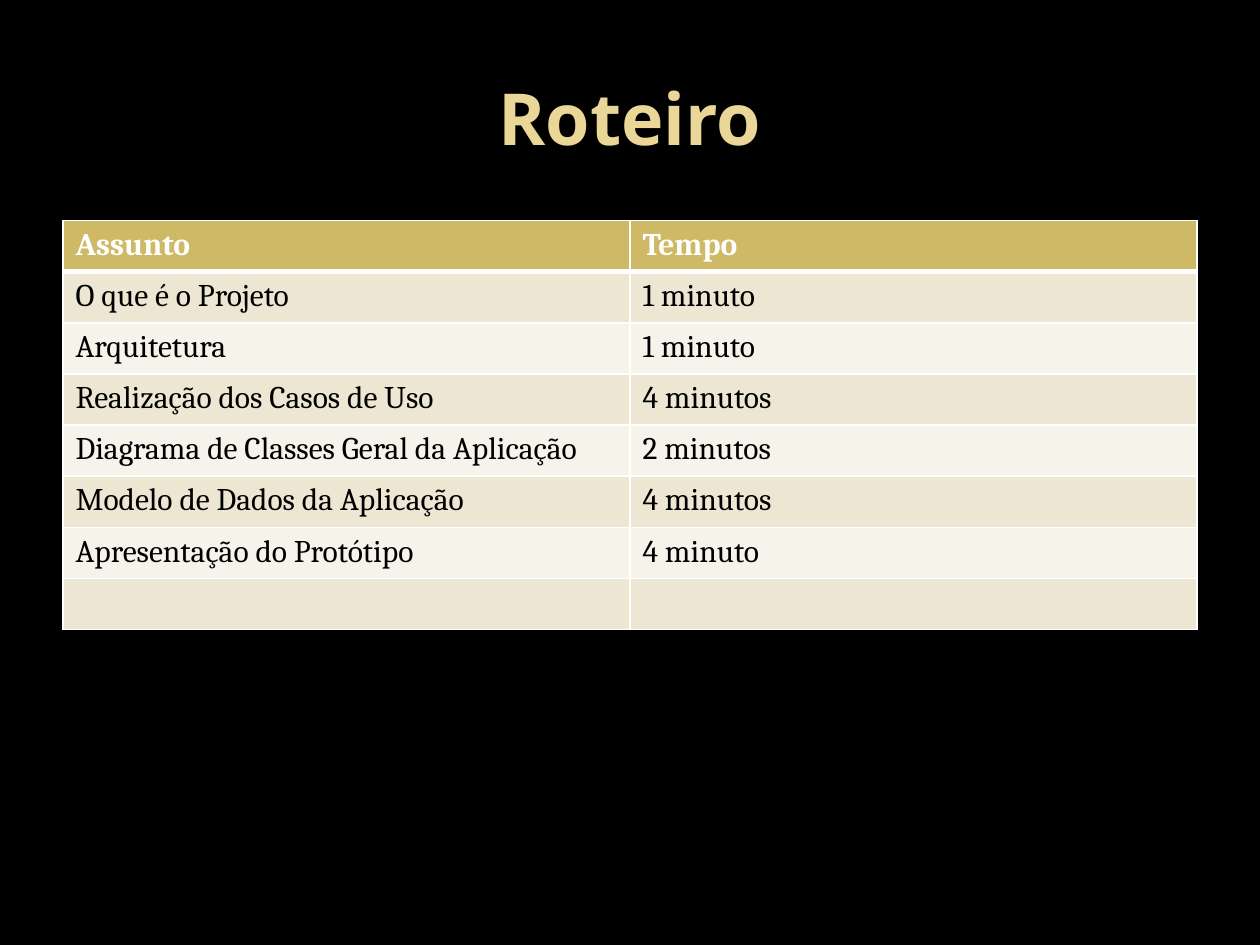
import lxml.etree
import pptx
import pptx.dml.color
import pptx.enum.text
import pptx.oxml.ns
import pptx.util
from pptx.util import Inches

COLORS = {
    "background": "000000",
    "title": "EAD696",
    "header": "CEB966",
    "odd_row": "EDE6D3",
    "even_row": "F6F3EA",
    "white": "FFFFFF",
    "black": "000000",
}

AGENDA = [
    ("Assunto", "Tempo"),
    ("O que é o Projeto", "1 minuto"),
    ("Arquitetura", "1 minuto"),
    ("Realização dos Casos de Uso", "4 minutos"),
    ("Diagrama de Classes Geral da Aplicação", "2 minutos"),
    ("Modelo de Dados da Aplicação", "4 minutos"),
    ("Apresentação do Protótipo", "4 minuto"),
    ("", ""),
]


def rgb(name):
    return pptx.dml.color.RGBColor.from_string(COLORS[name])


class SlideBuilder:
    title_font = "Open Sans"
    body_font = "Cambria"

    def __init__(self, slide):
        self.slide = slide

    def background(self, color):
        fill = self.slide.background.fill
        fill.solid()
        fill.fore_color.rgb = rgb(color)

    def format_runs(self, paragraph, font_name, size, color, bold):
        for run in paragraph.runs:
            run.font.name = font_name
            run.font.size = pptx.util.Pt(size)
            run.font.bold = bold
            run.font.color.rgb = rgb(color)

    def title(self, text, left, top, width, height):
        shape = self.slide.shapes.add_textbox(left, top, width, height)
        text_frame = shape.text_frame
        text_frame.word_wrap = True
        text_frame.vertical_anchor = pptx.enum.text.MSO_ANCHOR.MIDDLE
        text_frame.text = text
        paragraph = text_frame.paragraphs[0]
        paragraph.alignment = pptx.enum.text.PP_ALIGN.CENTER
        self.format_runs(paragraph, self.title_font, 41, "title", True)

    def cell_borders(self, cell, widths):
        qn = pptx.oxml.ns.qn
        properties = cell._tc.get_or_add_tcPr()
        for side, width in widths.items():
            line = lxml.etree.SubElement(
                properties, qn(f"a:ln{side}"), w=str(pptx.util.Pt(width)))
            fill = lxml.etree.SubElement(line, qn("a:solidFill"))
            lxml.etree.SubElement(fill, qn("a:srgbClr"), val=COLORS["white"])

    def table(self, rows, left, top, width, height):
        table = self.slide.shapes.add_table(
            len(rows), len(rows[0]), left, top, width, height).table
        for row_index, values in enumerate(rows):
            is_header = row_index == 0
            if is_header:
                fill_color = "header"
            else:
                fill_color = "odd_row" if row_index % 2 else "even_row"
            # The rule under the header is thicker than the others
            widths = {"L": 1, "R": 1,
                      "T": 3 if row_index == 1 else 1,
                      "B": 3 if is_header else 1}
            for column_index, value in enumerate(values):
                cell = table.cell(row_index, column_index)
                self.cell_borders(cell, widths)
                cell.fill.solid()
                cell.fill.fore_color.rgb = rgb(fill_color)
                cell.text_frame.text = value
                self.format_runs(cell.text_frame.paragraphs[0], self.body_font, 18,
                                 "white" if is_header else "black", is_header)


def main():
    presentation = pptx.Presentation()
    presentation.slide_width = Inches(10)
    presentation.slide_height = Inches(7.5)
    slide = presentation.slides.add_slide(presentation.slide_layouts[6])
    builder = SlideBuilder(slide)

    # Background and title
    builder.background("background")
    builder.title("Roteiro", Inches(0.5), Inches(0.3), Inches(9), Inches(1.25))

    # Agenda with the time for each subject
    builder.table(AGENDA, Inches(0.5), Inches(1.75), Inches(9), Inches(3.25))

    presentation.save("out.pptx")


if __name__ == "__main__":
    main()
